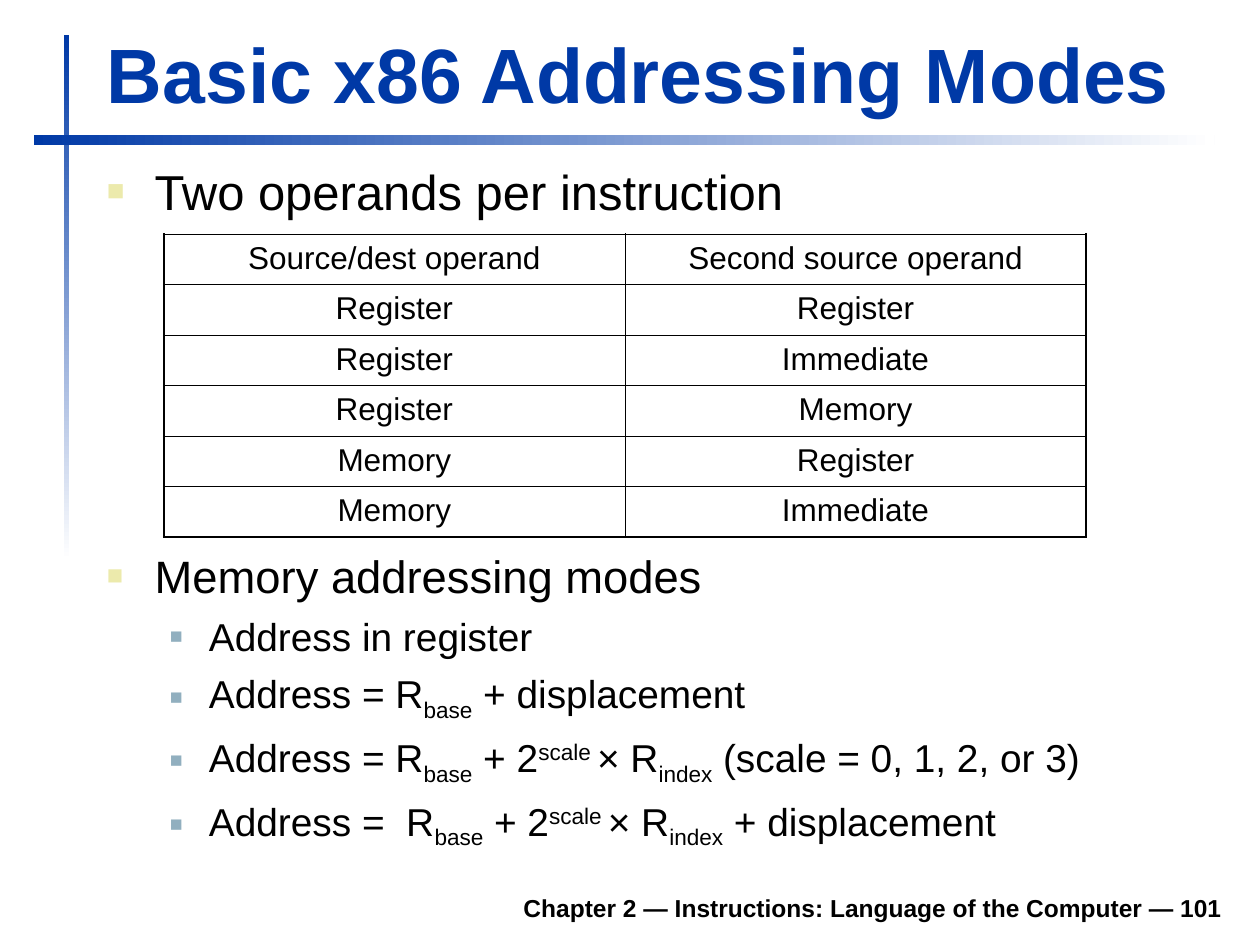
import pptx
import pptx.dml.color
import pptx.enum.shapes
import pptx.enum.text
import pptx.oxml.ns
import pptx.util
from lxml import etree

# Content
TITLE = "Basic x86 Addressing Modes"
FOOTER = "Chapter 2 — Instructions: Language of the Computer — 101"
OPERANDS = [
    ("Source/dest operand", "Second source operand"),
    ("Register", "Register"),
    ("Register", "Immediate"),
    ("Register", "Memory"),
    ("Memory", "Register"),
    ("Memory", "Immediate"),
]
SUB, SUPER = -25, 30
BASE = ("base", SUB)
SCALED_INDEX = [(" + 2", 0), ("scale ", SUPER), ("× R", 0), ("index", SUB)]
# Each line: level, then its runs as (text, baseline shift in percent)
OPERAND_LINES = [(0, [("Two operands per instruction", 0)])]
MODE_LINES = [
    (0, [("Memory addressing modes", 0)]),
    (1, [("Address in register", 0)]),
    (1, [("Address = R", 0), BASE, (" + displacement", 0)]),
    (1, [("Address = R", 0), BASE, *SCALED_INDEX, (" (scale = 0, 1, 2, or 3)", 0)]),
    (1, [("Address =  R", 0), BASE, *SCALED_INDEX, (" + displacement", 0)]),
]

# Style
COLORS = {"blue": "0039A6", "white": "FFFFFF", "black": "000000",
          "cream": "ECEAAC", "steel": "91AFBF"}
FONT = "Arial"
LEVELS = [  # indent and hang in inches, space before in points, bullet size in percent
    {"indent": 0.38, "hang": 0.38, "before": 7, "bullet": "cream", "size": 60},
    {"indent": 0.81, "hang": 0.31, "before": 6, "bullet": "steel", "size": 55},
]
THIN, THICK = 0.45, 1.08
WIDTH, HEIGHT = 10, 7.5
LEFT, BODY_WIDTH = 0.75, 9.04
ROW_HEIGHT, COLUMN_WIDTH = 0.4, 3.66
ALIGN = pptx.enum.text.PP_ALIGN
ANCHOR = pptx.enum.text.MSO_ANCHOR


def rgb(name):
    return pptx.dml.color.RGBColor.from_string(COLORS[name])


def inches(*values):
    return [pptx.util.Inches(value) for value in values]


def add_child(parent, tag, **attributes):
    child = etree.SubElement(parent, pptx.oxml.ns.qn(tag))
    for name, value in attributes.items():
        child.set(name, str(value))
    return child


def add_span(para, text, size, color="black", bold=False, shift=0):
    span = para.add_run()
    span.text = text
    span.font.name = FONT
    span.font.size = pptx.util.Pt(size)
    span.font.bold = bold
    span.font.color.rgb = rgb(color)
    if shift:
        span.font._element.set("baseline", str(shift * 1000))


def add_box(page, place, anchor=ANCHOR.TOP):
    frame = page.shapes.add_textbox(*inches(*place)).text_frame
    frame.word_wrap = True
    frame.vertical_anchor = anchor
    return frame


def add_bar(page, place, angle):
    bar = page.shapes.add_shape(
        pptx.enum.shapes.MSO_SHAPE.RECTANGLE, *inches(*place))
    bar.shadow.inherit = False
    bar.line.fill.background()
    bar.fill.gradient()
    bar.fill.gradient_angle = angle
    for stop, color in zip(bar.fill.gradient_stops, ("blue", "white")):
        stop.color.rgb = rgb(color)


def add_bullets(page, place, lines, sizes):
    frame = add_box(page, place)
    for number, (level, spans) in enumerate(lines):
        style = LEVELS[level]
        para = frame.add_paragraph() if number else frame.paragraphs[0]
        para.level = level
        if number:
            para.space_before = pptx.util.Pt(style["before"])
        properties = para._p.get_or_add_pPr()
        properties.set("marL", str(pptx.util.Inches(style["indent"])))
        properties.set("indent", str(-pptx.util.Inches(style["hang"])))
        bullet_color = add_child(properties, "a:buClr")
        add_child(bullet_color, "a:srgbClr", val=COLORS[style["bullet"]])
        add_child(properties, "a:buSzPct", val=style["size"] * 1000)
        add_child(properties, "a:buFont", typeface=FONT)
        add_child(properties, "a:buChar", char="■")
        for text, shift in spans:
            add_span(para, text, sizes[level], shift=shift)


def set_borders(cell, widths):
    properties = cell._tc.get_or_add_tcPr()
    for position, (side, width) in enumerate(widths.items()):
        line = etree.Element(pptx.oxml.ns.qn("a:ln" + side))
        line.set("w", str(pptx.util.Pt(width)))
        fill = add_child(line, "a:solidFill")
        add_child(fill, "a:srgbClr", val=COLORS["black"])
        properties.insert(position, line)


def add_operand_table(page, left, top):
    rows, columns = len(OPERANDS), len(OPERANDS[0])
    table = page.shapes.add_table(rows, columns, *inches(
        left, top, columns * COLUMN_WIDTH, rows * ROW_HEIGHT)).table
    table.first_row = table.horz_banding = False
    for r, texts in enumerate(OPERANDS):
        for c, text in enumerate(texts):
            cell = table.cell(r, c)
            cell.fill.background()
            para = cell.text_frame.paragraphs[0]
            para.alignment = ALIGN.CENTER
            add_span(para, text, 18)
            outer = {"L": c == 0, "R": c == columns - 1,
                     "T": r == 0, "B": r == rows - 1}
            set_borders(cell, {side: THICK if edge else THIN
                               for side, edge in outer.items()})


def main():
    deck = pptx.Presentation()
    deck.slide_width, deck.slide_height = inches(WIDTH, HEIGHT)
    page = deck.slides.add_slide(deck.slide_layouts[6])

    # Crossed fading bars
    add_bar(page, (0.51, 0.28, 0.04, 4.17), 270)
    add_bar(page, (0.27, 1.07, 9.37, 0.08), 0)

    # Footer and title
    footer = add_box(page, (1.85, 6.98, 7.95, 0.39), ANCHOR.BOTTOM).paragraphs[0]
    footer.alignment = ALIGN.RIGHT
    add_span(footer, FOOTER, 14, bold=True)
    title = add_box(page, (LEFT, 0.16, 9.03, 0.83), ANCHOR.BOTTOM).paragraphs[0]
    add_span(title, TITLE, 44, "blue", bold=True)

    # Operands, then addressing modes
    add_bullets(page, (LEFT, 1.23, BODY_WIDTH, 0.71), OPERAND_LINES, [28])
    add_operand_table(page, (WIDTH - 2 * COLUMN_WIDTH) / 2 - 0.04, 1.86)
    add_bullets(page, (LEFT, 4.3, BODY_WIDTH, 2.52), MODE_LINES, [25.9, 22.2])

    deck.save("out.pptx")


if __name__ == "__main__":
    main()
